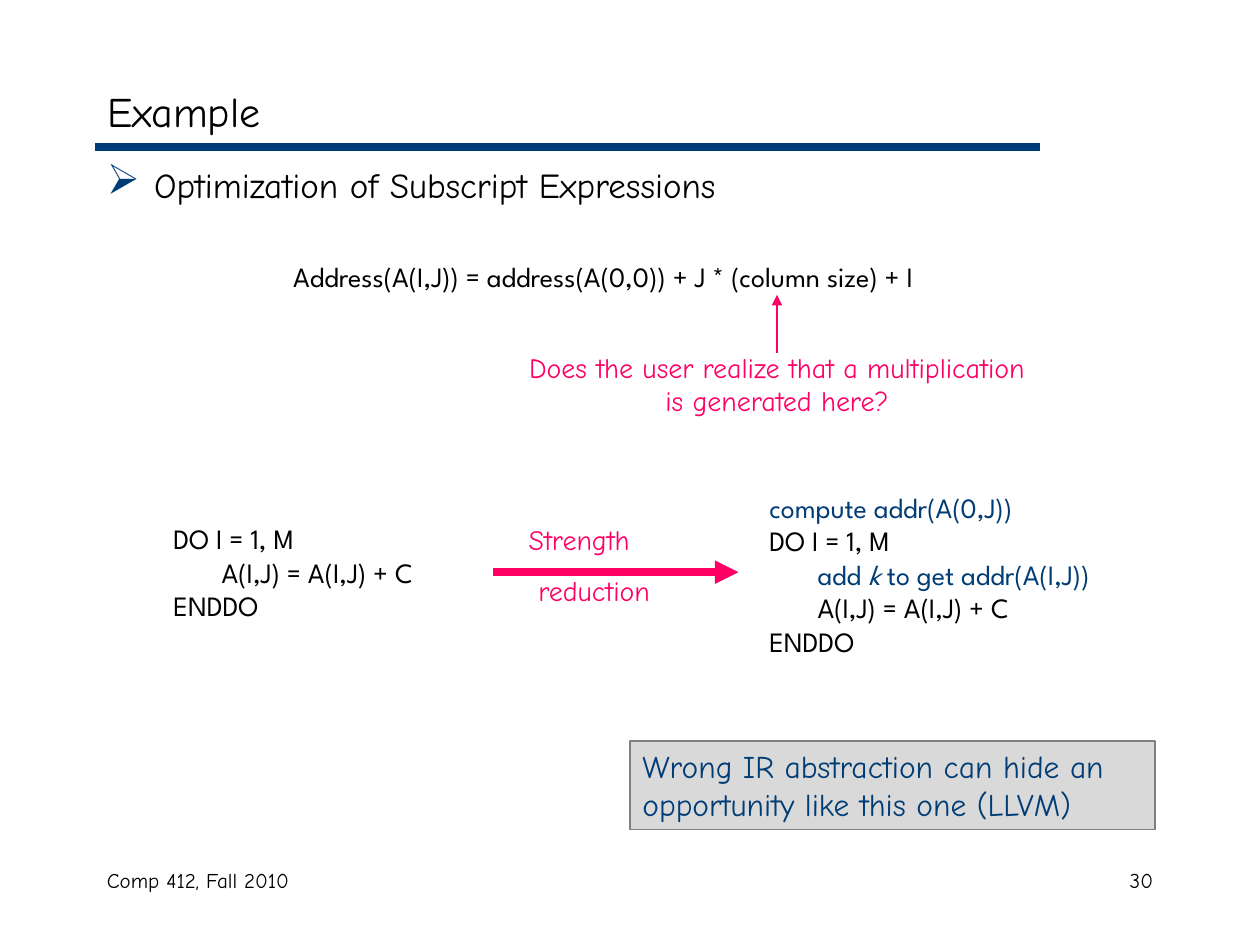
import pptx
import pptx.util
import pptx.dml.color
import pptx.enum.shapes
import pptx.enum.text
import pptx.oxml
import pptx.oxml.ns

Pt = pptx.util.Pt
Align = pptx.enum.text.PP_ALIGN
Anchor = pptx.enum.text.MSO_ANCHOR

HAND, CODE = "Comic Neue", "League Spartan"
BLACK, NAVY, PINK = "000000", "003C75", "FF0065"
GREY, EDGE = "D9D9D9", "7F7F7F"

TITLE = ("Example", (54, 42, 612, 42), 24)
POINT = ("Optimization of Subscript Expressions", (54, 90, 612, 390), 20)
NOTE = ("Wrong IR abstraction can hide an opportunity like this one (LLVM)",
        (360, 423.5, 300, 50.5), 18)

BEFORE = [
    [("DO I = 1, M", BLACK)],
    [("       A(I,J) = A(I,J) + C", BLACK)],
    [("ENDDO", BLACK)],
]
AFTER = [
    [("compute addr(A(0,J))", NAVY)],
    [("DO I = 1, M", BLACK)],
    [("       add ", NAVY), ("k", NAVY, True), (" to get addr(A(I,J))", NAVY)],
    [("       A(I,J) = A(I,J) + C", BLACK)],
    [("ENDDO", BLACK)],
]
CODES = [
    (BEFORE, (92, 294.5, 155.5, 65)),
    (AFTER, (432.5, 276.5, 233.5, 103.5)),
]
LABELS = [
    ("Comp 412, Fall 2010", (54, 492, 228, 36), 12, HAND, BLACK, Align.LEFT),
    ("30", (516, 492, 150, 36), 12, HAND, BLACK, Align.RIGHT),
    ("Address(A(I,J)) = address(A(0,0)) + J * (column size) + I",
     (160.5, 144.5, 407, 26.5), 16, CODE, BLACK, Align.LEFT),
    ("Does the user realize that a multiplication is generated here?",
     (291, 196.5, 306, 46), 16, HAND, PINK, Align.CENTER),
    ("Strength\nreduction", (295, 295, 98, 55.5), 16, HAND, PINK, Align.LEFT),
]
LINES = [
    ((54, 84.25, 594, 84.25), NAVY, 4.5, False),
    ((444, 201.5, 444, 168.5), PINK, 0.75, True),
    ((282, 327, 422, 327), PINK, 4.5, True),
]


def tint(code):
    return pptx.dml.color.RGBColor.from_string(code)


def style(font, size, face, color):
    font.size = Pt(size)
    font.name = face
    font.color.rgb = tint(color)


def write(shape, text, size, face, color, align=Align.LEFT, anchor=Anchor.TOP):
    frame = shape.text_frame
    frame.word_wrap = True
    frame.auto_size = pptx.enum.text.MSO_AUTO_SIZE.NONE
    frame.vertical_anchor = anchor
    frame.text = text
    for para in frame.paragraphs:
        para.alignment = align
        for run in para.runs:
            style(run.font, size, face, color)
    return frame.paragraphs


def add_box(slide, box):
    return slide.shapes.add_textbox(*map(Pt, box))


def add_code(slide, rows, box):
    frame = add_box(slide, box).text_frame
    frame.word_wrap = True
    for i, row in enumerate(rows):
        para = frame.add_paragraph() if i else frame.paragraphs[0]
        for text, color, *slant in row:
            run = para.add_run()
            run.text = text
            style(run.font, 16, CODE, color)
            run.font.italic = bool(slant)


def add_node(parent, tag, **attrs):
    node = pptx.oxml.ns.qn(tag)
    child = parent.makeelement(node, attrs)
    parent.append(child)
    return child


def add_line(slide, ends, color, width, arrow):
    kind = pptx.enum.shapes.MSO_CONNECTOR.STRAIGHT
    line = slide.shapes.add_connector(kind, *map(Pt, ends))
    line.line.color.rgb = tint(color)
    line.line.width = Pt(width)
    if arrow:
        add_node(line.line._get_or_add_ln(), "a:tailEnd", type="triangle")
    add_node(line._element.spPr, "a:effectLst")


def add_point(slide):
    text, box, size = POINT
    para = write(add_box(slide, box), text, size, HAND, BLACK)[0]
    props = para._p.get_or_add_pPr()
    props.set("marL", str(Pt(27)))
    props.set("indent", str(-Pt(27)))
    add_node(add_node(props, "a:buClr"), "a:srgbClr", val=NAVY)
    add_node(props, "a:buSzPct", val="120000")
    add_node(props, "a:buChar", char="➢")


def add_note(slide):
    text, box, size = NOTE
    kind = pptx.enum.shapes.MSO_SHAPE.RECTANGLE
    note = slide.shapes.add_shape(kind, *map(Pt, box))
    note.shadow.inherit = False
    note.fill.solid()
    note.fill.fore_color.rgb = tint(GREY)
    note.line.color.rgb = tint(EDGE)
    note.line.width = Pt(0.75)
    write(note, text, size, HAND, NAVY)


def main():
    deck = pptx.Presentation()
    deck.slide_width, deck.slide_height = Pt(720), Pt(540)
    slide = deck.slides.add_slide(deck.slide_layouts[5])

    text, box, size = TITLE
    title = slide.shapes.title
    title.left, title.top, title.width, title.height = map(Pt, box)
    write(title, text, size, HAND, BLACK, anchor=Anchor.MIDDLE)

    add_point(slide)
    for text, box, *look in LABELS:
        paras = write(add_box(slide, box), text, *look)
        for para in paras[1:]:
            para.space_before = Pt(10)
            para._p.get_or_add_pPr().set("marL", str(Pt(5.5)))
    for rows, box in CODES:
        add_code(slide, rows, box)
    for line in LINES:
        add_line(slide, *line)
    add_note(slide)
    deck.save("out.pptx")


if __name__ == "__main__":
    main()
